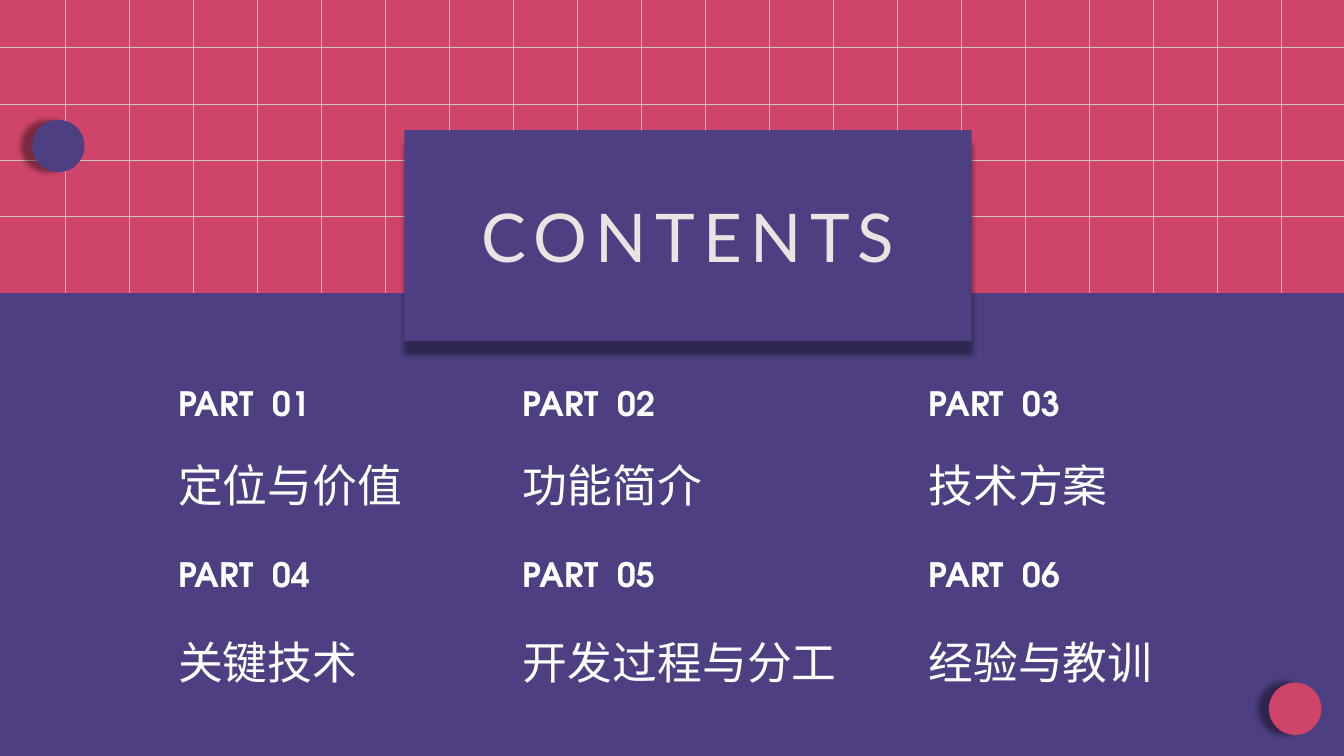
"""Build a contents slide with a title panel and six numbered parts."""
from lxml import etree
from pptx import Presentation
from pptx.dml.color import RGBColor
from pptx.enum.lang import MSO_LANGUAGE_ID
from pptx.enum.shapes import MSO_CONNECTOR, MSO_SHAPE
from pptx.enum.text import MSO_ANCHOR, MSO_AUTO_SIZE, PP_ALIGN
from pptx.oxml.ns import qn
from pptx.util import Cm, Pt

RECTANGLE, OVAL = MSO_SHAPE.RECTANGLE, MSO_SHAPE.OVAL
STRAIGHT = MSO_CONNECTOR.STRAIGHT
CENTER, MIDDLE = PP_ALIGN.CENTER, MSO_ANCHOR.MIDDLE
GROW = MSO_AUTO_SIZE.SHAPE_TO_FIT_TEXT
CHINESE = MSO_LANGUAGE_ID.SIMPLIFIED_CHINESE

TITLE = "CONTENTS"
PARTS = [
    ["定位与价值", "功能简介", "技术方案"],
    ["关键技术", "开发过程与分工", "经验与教训"],
]
PINK, PURPLE, GRID, CREAM, WHITE = "CE4569", "4D3F82", "CFC4BF", "E9E4E2", "FFFFFF"
TITLE_FONT, BODY_FONT = "Lato", "TeX Gyre Adventor"

WIDTH, HEIGHT, BAND = 33.87, 19.05, 7.39
ROW_LINES = (1.19, 5.46, 4)
COLUMN_LINES = (1.64, 32.28, 20)
PANEL = (10.19, 3.28, 14.3, 5.31)
DOT = 1.32
DOTS = [(0.81, 3.02, PURPLE), (31.98, 17.2, PINK)]
COLUMNS = [4.24, 12.93, 23.15]
ROWS = [(9.53, 10.72), (13.84, 15.19)]


def color(value):
    return RGBColor.from_string(value)


def spread(first, last, count):
    return [first + (last - first) * i / (count - 1) for i in range(count)]


def add_block(page, kind, left, top, width, height, fill):
    block = page.shapes.add_shape(kind, Cm(left), Cm(top), Cm(width), Cm(height))
    block.fill.solid()
    block.fill.fore_color.rgb = color(fill)
    block.line.fill.background()
    block.shadow.inherit = False
    return block


def add_shadow(block, distance, degrees):
    effects = block._element.spPr.find(qn("a:effectLst"))
    shadow = etree.SubElement(
        effects, qn("a:outerShdw"), blurRad=str(Pt(4)), dist=str(Pt(distance)),
        dir=str(degrees * 60000), algn="ctr", rotWithShape="0")
    black = etree.SubElement(shadow, qn("a:srgbClr"), val="000000")
    etree.SubElement(black, qn("a:alpha"), val="40000")


def add_grid_line(page, x1, y1, x2, y2):
    line = page.shapes.add_connector(STRAIGHT, Cm(x1), Cm(y1), Cm(x2), Cm(y2))
    line.line.color.rgb = color(GRID)
    line.line.width = Pt(0.25)
    etree.SubElement(line._element.spPr, qn("a:effectLst"))


def add_span(para, text, font, size, shade, bold=False, spacing=0):
    span = para.add_run()
    span.text = text
    span.font.name, span.font.size, span.font.bold = font, Pt(size), bold
    span.font.color.rgb = color(shade)
    if spacing:
        span.font._element.set("spc", str(int(spacing * 100)))
    return span


def add_text_box(page, left, top, width, height):
    box = page.shapes.add_textbox(Cm(left), Cm(top), Cm(width), Cm(height))
    box.text_frame.word_wrap = True
    box.text_frame.auto_size = GROW
    return box.text_frame.paragraphs[0]


def add_part(page, left, label_top, name_top, number, name):
    para = add_text_box(page, left, label_top, 6.45, 1.27)
    for text, spacing in [("PART", 0), (" ", 6.7), (f"{number:02}", 0)]:
        add_span(para, text, BODY_FONT, 24, WHITE, True, spacing)
    para = add_text_box(page, left, name_top, 8.59, 2.06)
    para.line_spacing = 1.5
    add_span(para, name, BODY_FONT, 32, WHITE).font.language_id = CHINESE


def main():
    deck = Presentation()
    deck.slide_width, deck.slide_height = Cm(WIDTH), Cm(HEIGHT)
    page = deck.slides.add_slide(deck.slide_layouts[6])

    add_block(page, RECTANGLE, 0, 0, WIDTH, BAND, PINK)
    for y in spread(*ROW_LINES):
        add_grid_line(page, 0, y, WIDTH, y)
    for x in spread(*COLUMN_LINES):
        add_grid_line(page, x, 0, x, BAND)
    add_block(page, RECTANGLE, 0, BAND, WIDTH, HEIGHT - BAND, PURPLE)

    panel = add_block(page, RECTANGLE, *PANEL, PURPLE)
    add_shadow(panel, 10, 90)
    panel.text_frame.vertical_anchor = MIDDLE
    para = panel.text_frame.paragraphs[0]
    para.alignment = CENTER
    add_span(para, TITLE, TITLE_FONT, 48, CREAM, spacing=6)

    for left, top, fill in DOTS:
        add_shadow(add_block(page, OVAL, left, top, DOT, DOT, fill), 8, 180)

    for row, names in enumerate(PARTS):
        for column, name in enumerate(names):
            number = row * len(COLUMNS) + column + 1
            add_part(page, COLUMNS[column], *ROWS[row], number, name)

    deck.save("out.pptx")


if __name__ == "__main__":
    main()
